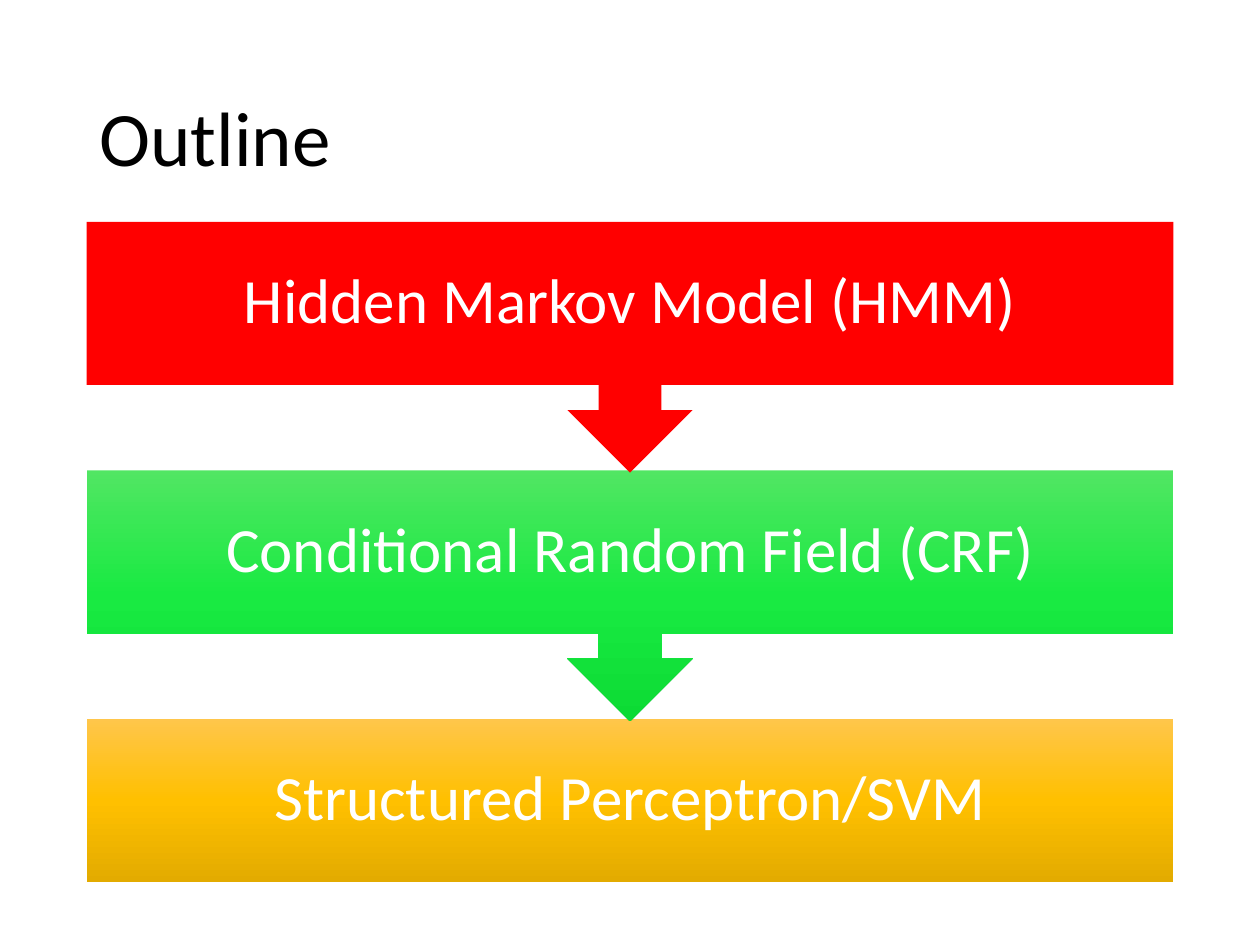
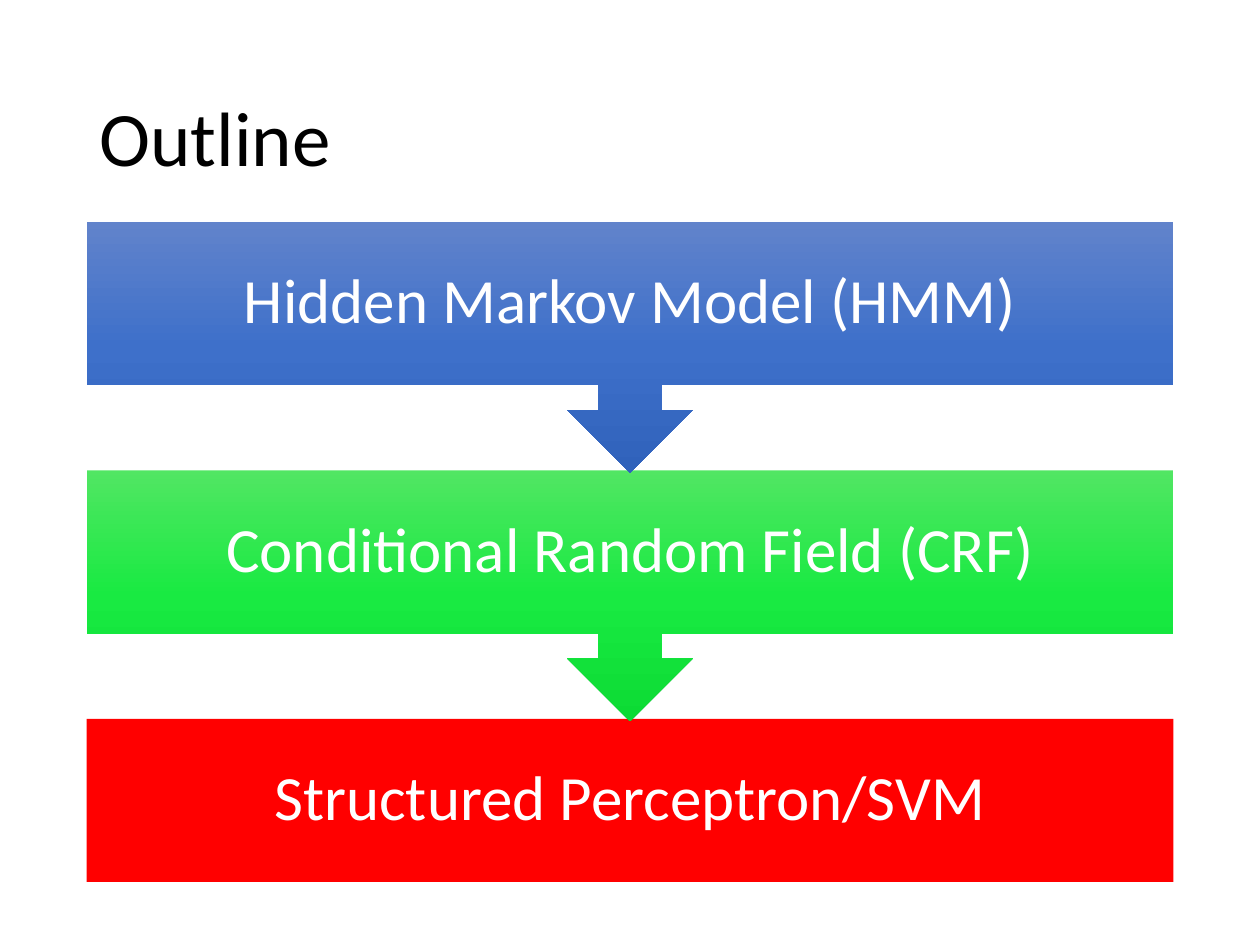
from copy import deepcopy
from dataclasses import dataclass

from pptx import Presentation
from pptx.dml.color import RGBColor
from pptx.dml.fill import FillFormat
from pptx.enum.shapes import MSO_SHAPE as Shp
from pptx.enum.text import MSO_ANCHOR as Anchor, PP_ALIGN as Align
from pptx.oxml.ns import qn
from pptx.shapes.group import GroupShape
from pptx.slide import Slide
from pptx.text.text import TextFrame
from pptx.util import Pt

Colors = tuple[RGBColor, ...]

BLACK = RGBColor(0x00, 0x00, 0x00)
WHITE = RGBColor(0xFF, 0xFF, 0xFF)
RED: Colors = (RGBColor(0xFF, 0x00, 0x00),)
BLUE: Colors = (RGBColor(0x61, 0x83, 0xCB), RGBColor(0x3E, 0x70, 0xCA), RGBColor(0x30, 0x62, 0xBB))
GREEN: Colors = (RGBColor(0x51, 0xE6, 0x63), RGBColor(0x19, 0xEA, 0x42), RGBColor(0x0C, 0xDB, 0x34))
GOLD: Colors = (RGBColor(0xFF, 0xC6, 0x4B), RGBColor(0xFF, 0xC0, 0x00), RGBColor(0xE3, 0xAB, 0x00))

LEFT, WIDTH = Pt(49.5), Pt(621)
TITLE_TOP, TITLE_H = Pt(28.8), Pt(104.4)
STEP_TOP, STEP_PITCH = Pt(126.8), Pt(142)
BOX_H, CALLOUT_H = Pt(93.2), Pt(143.3)
INSET = Pt(20)
TITLE_FONT = {"name": "Calibri", "size": Pt(44)}
STEP_FONT = {"name": "Calibri", "size": Pt(36)}
STEP_FRAME = {
    "word_wrap": True,
    "vertical_anchor": Anchor.MIDDLE,
    **{f"margin_{side}": INSET for side in ("left", "top", "right", "bottom")},
}


@dataclass(frozen=True)
class Step:
    """One topic of the outline and the colours of its band."""

    label: str
    colors: Colors


HMM = "Hidden Markov Model (HMM)"
CRF = Step("Conditional Random Field (CRF)", GREEN)
SVM = "Structured Perceptron/SVM"
OUTLINES = (
    (Step(HMM, RED), CRF, Step(SVM, GOLD)),
    (Step(HMM, BLUE), CRF, Step(SVM, RED)),
)


def set_attrs(target: object, values: dict) -> None:
    """Set every attribute named in values."""
    for name, value in values.items():
        setattr(target, name, value)


def write(tf: TextFrame, text: str, font: dict, color: RGBColor, align: Align) -> None:
    """Write one formatted paragraph into a text frame."""
    p = tf.paragraphs[0]
    set_attrs(p, {"alignment": align, "line_spacing": 0.9})
    r = p.add_run()
    r.text = text
    set_attrs(r.font, font)
    r.font.color.rgb = color


def paint(fill: FillFormat, colors: Colors, sp_pr) -> None:
    """Fill with one solid colour or an evenly spaced downward gradient."""
    if len(colors) == 1:
        fill.solid()
        fill.fore_color.rgb = colors[0]
        return
    fill.gradient()
    fill.gradient_angle = 270
    grad = sp_pr.find(qn("a:gradFill"))
    grad.set("rotWithShape", "0")
    stops = grad.find(qn("a:gsLst"))
    for _ in colors[2:]:
        stops.append(deepcopy(stops[0]))
    for i, (stop, color) in enumerate(zip(fill.gradient_stops, colors)):
        stop.position = i / (len(colors) - 1)
        stop.color.rgb = color


def add_step(group: GroupShape, step: Step, index: int, last: bool) -> None:
    """Draw a band, with an arrow to the next one unless it is the last."""
    top = STEP_TOP + index * STEP_PITCH
    kind, height, turn = (Shp.RECTANGLE, BOX_H, 0) if last else (Shp.UP_ARROW_CALLOUT, CALLOUT_H, 180)
    sp = group.shapes.add_shape(kind, LEFT, top, WIDTH, height)
    sp.rotation = turn
    sp.shadow.inherit = False
    sp.line.fill.background()
    paint(sp.fill, step.colors, sp._element.spPr)
    tf = group.shapes.add_textbox(LEFT, top, WIDTH, BOX_H).text_frame
    set_attrs(tf, STEP_FRAME)
    write(tf, step.label, STEP_FONT, WHITE, Align.CENTER)


def add_title(s: Slide, text: str) -> None:
    """Place and format the slide title."""
    sp = s.shapes.title
    set_attrs(sp, {"left": LEFT, "top": TITLE_TOP, "width": WIDTH, "height": TITLE_H})
    sp.text_frame.vertical_anchor = Anchor.MIDDLE
    write(sp.text_frame, text, TITLE_FONT, BLACK, Align.LEFT)


def main() -> None:
    """Build the outline slides and save them."""
    prs = Presentation()
    prs.slide_width, prs.slide_height = Pt(720), Pt(540)
    for steps in OUTLINES:
        s = prs.slides.add_slide(prs.slide_layouts[5])
        add_title(s, "Outline")
        group = s.shapes.add_group_shape()
        for i, step in reversed(list(enumerate(steps))):
            add_step(group, step, i, i == len(steps) - 1)
    prs.save("out.pptx")


if __name__ == "__main__":
    main()
